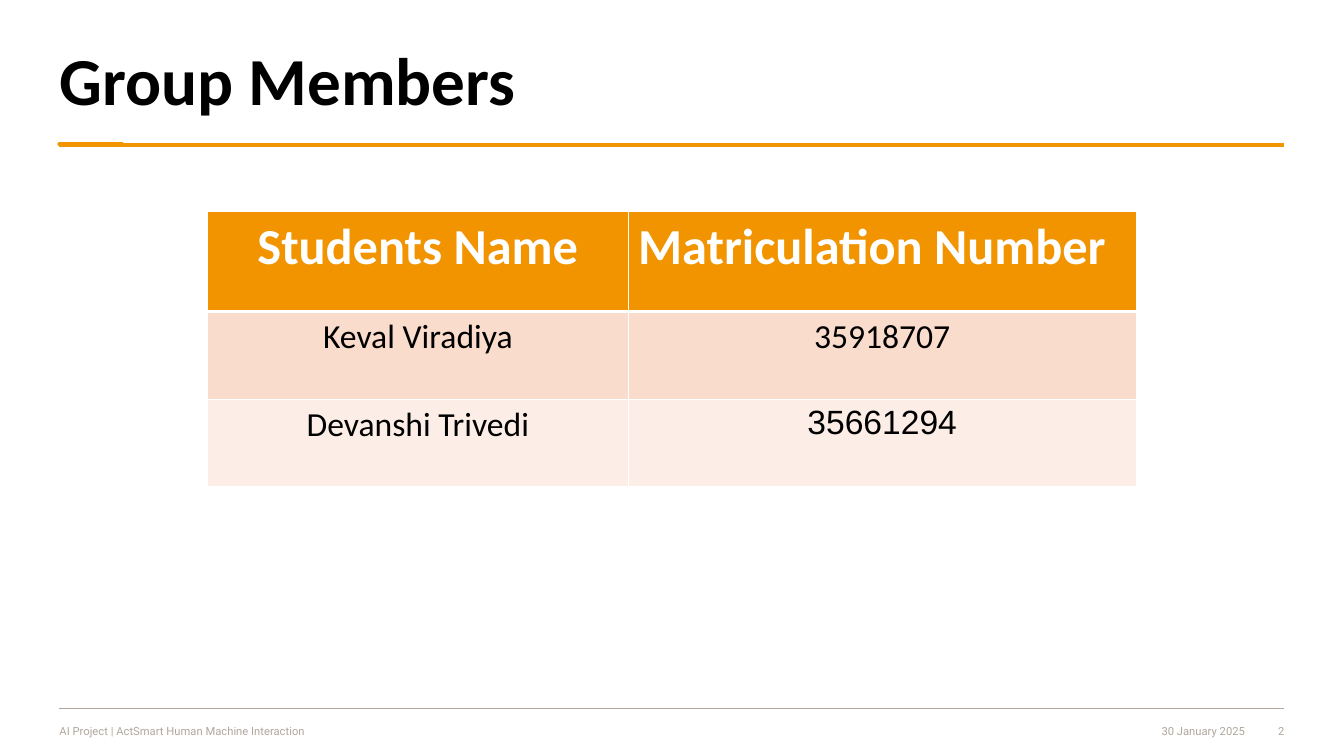
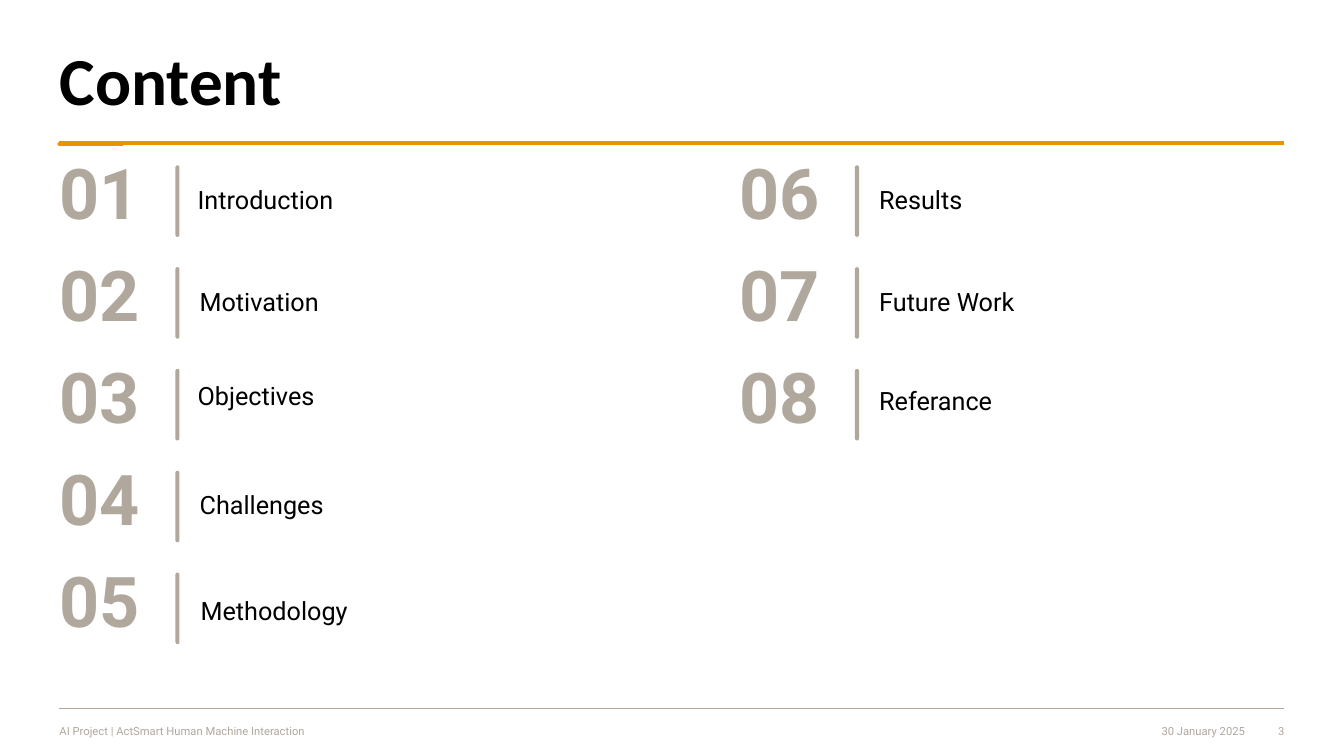
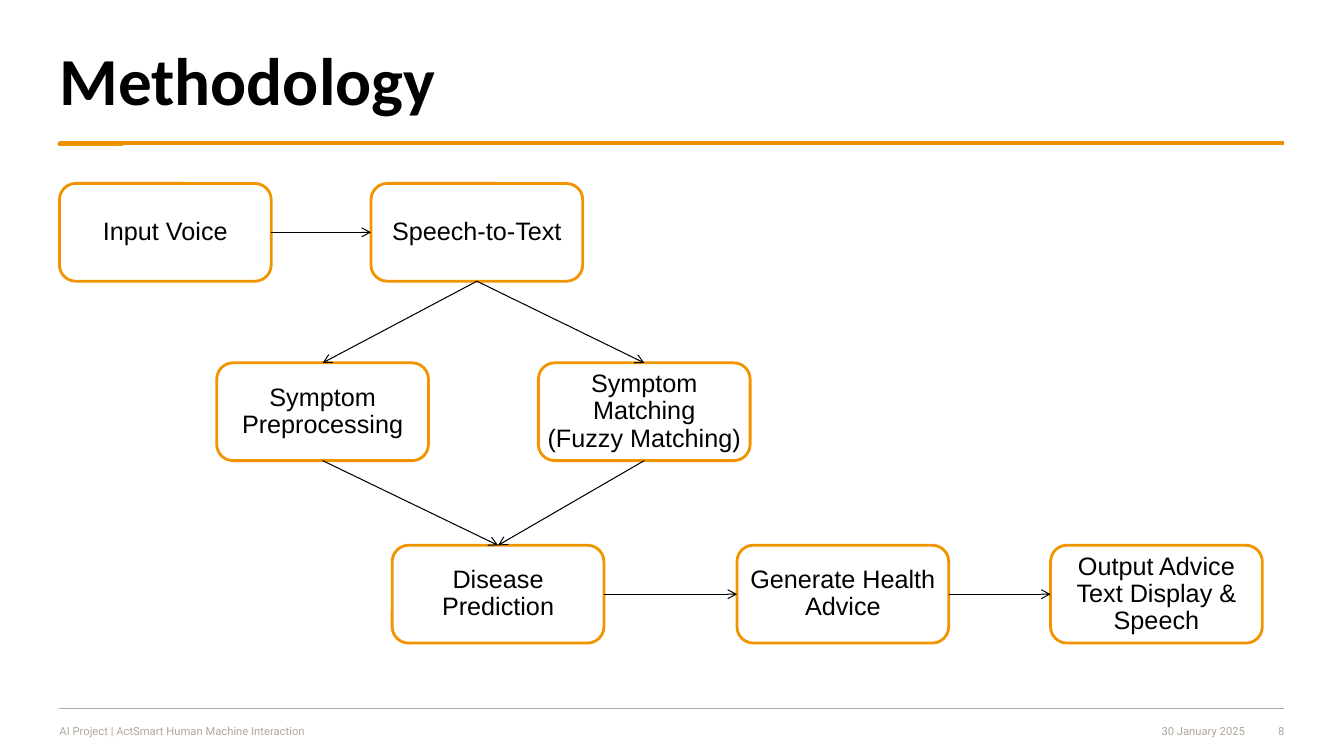
from lxml import etree
from pptx import Presentation
from pptx import util as u
from pptx.dml.color import RGBColor
from pptx.enum import shapes, text
from pptx.oxml.ns import qn

# Shared style
ORANGE, DEEP_ORANGE, GREY = "F19400", "EC9100", "B0A79D"
BLACK, WHITE = "000000", "FFFFFF"
PEACH, PALE_PEACH = "FADCCC", "FCEEE7"
LEFT, RIGHT = 0.59, 12.74
CENTER, ALIGN_RIGHT = text.PP_ALIGN.CENTER, text.PP_ALIGN.RIGHT
TOP, MIDDLE = text.MSO_ANCHOR.TOP, text.MSO_ANCHOR.MIDDLE


def color(hex_code):
    return RGBColor.from_string(hex_code)


def box(*lengths):
    return [u.Inches(length) for length in lengths]


# Element kinds
def write(frame, words, size, font, ink, bold=False, align=None, spacing=None):
    frame.text = words
    paragraph = frame.paragraphs[0]
    paragraph.alignment = align
    paragraph.line_spacing = spacing
    for run in paragraph.runs:
        run.font.size = u.Pt(size)
        run.font.name = font
        run.font.bold = bold
        run.font.color.rgb = color(ink)


def set_frame(frame, insets, anchor):
    frame.word_wrap = True
    frame.vertical_anchor = anchor
    (frame.margin_left, frame.margin_top,
     frame.margin_right, frame.margin_bottom) = box(*insets)


def add_text(slide, place, words, size, font, ink, anchor=MIDDLE, bottom=0, **style):
    frame = slide.shapes.add_textbox(*box(*place)).text_frame
    set_frame(frame, (0, 0, 0, bottom), anchor)
    write(frame, words, size, font, ink, **style)


def add_line(slide, start, end, ink, width):
    line = slide.shapes.add_connector(shapes.MSO_CONNECTOR.STRAIGHT, *box(*start, *end))
    line.line.color.rgb = color(ink)
    line.line.width = u.Pt(width)
    etree.SubElement(line._element.spPr, qn("a:effectLst"))
    return line


def add_round_rect(slide, place, fill):
    shape = slide.shapes.add_shape(shapes.MSO_SHAPE.ROUNDED_RECTANGLE, *box(*place))
    shape.shadow.inherit = False
    shape.fill.solid()
    shape.fill.fore_color.rgb = color(fill)
    return shape


def add_arrow(slide, source, source_site, target, target_site):
    arrow = add_line(slide, (0, 0), (1, 1), BLACK, 0.75)
    arrow.begin_connect(source, source_site)
    arrow.end_connect(target, target_site)
    outline = arrow._element.spPr.find(qn("a:ln"))
    etree.SubElement(outline, qn("a:tailEnd"), type="arrow")


def set_borders(cell, top=1, bottom=1):
    properties = cell._tc.get_or_add_tcPr()
    for side, width in (("L", 1), ("R", 1), ("T", top), ("B", bottom)):
        border = etree.SubElement(properties, qn(f"a:ln{side}"), w=str(u.Pt(width)))
        fill = etree.SubElement(border, qn("a:solidFill"))
        etree.SubElement(fill, qn("a:srgbClr"), val=WHITE)


# Title, rules and footer of every slide
def add_page(deck, title, number, rule_y=1.42, rule_ink=DEEP_ORANGE):
    slide = deck.slides.add_slide(deck.slide_layouts[6])
    accent = add_line(slide, (LEFT, 1.43), (1.21, 1.43), ORANGE, 3)
    accent._element.spPr.find(qn("a:ln")).set("cap", "rnd")
    add_line(slide, (LEFT, 7.03), (RIGHT, 7.03), GREY, 1)
    add_text(slide, (LEFT, 0.47, 5.22, 0.86), title, 48, "Calibri", BLACK,
             anchor=TOP, bold=True, spacing=0.9)
    for left, width, words, align in (
            (10.42, 1.93, "30 January 2025", ALIGN_RIGHT),
            (LEFT, 8.27, "AI Project | ActSmart Human Machine Interaction", None),
            (12.4, 0.34, number, ALIGN_RIGHT)):
        add_text(slide, (left, 7.1, width, 0.31), words, 8, "Roboto", GREY, align=align)
    add_line(slide, (LEFT, rule_y), (RIGHT, rule_y), rule_ink, 3)
    return slide


def members_slide(deck):
    slide = add_page(deck, "Group Members", "2", 1.44, ORANGE)
    rows = (("Students Name", "Matriculation Number"),
            ("Keval Viradiya", "35918707"),
            ("Devanshi Trivedi", "35661294"))
    fills = (ORANGE, PEACH, PALE_PEACH)
    members = slide.shapes.add_table(3, 2, *box(2.06, 2.1, 9.21, 2.73)).table
    for column, width in zip(members.columns, (4.17, 5.04)):
        column.width = u.Inches(width)
    for row, height in zip(members.rows, (0.99, 0.87, 0.87)):
        row.height = u.Inches(height)
    for r, row in enumerate(rows):
        header = r == 0
        for c, words in enumerate(row):
            cell = members.cell(r, c)
            set_borders(cell, top=3 if r == 1 else 1, bottom=3 if header else 1)
            cell.fill.solid()
            cell.fill.fore_color.rgb = color(fills[r])
            write(cell.text_frame, words, 36 if header else 24,
                  "Arial" if (r, c) == (2, 1) else "Calibri",
                  WHITE if header else BLACK, bold=header,
                  align=None if header and c == 1 else CENTER)


def content_slide(deck):
    slide = add_page(deck, "Content", "3")
    # Each entry: topic, left edge and vertical shift of its label
    columns = ((LEFT, (("Introduction", 1.96, 0), ("Motivation", 1.98, 0),
                       ("Objectives", 1.96, -0.07), ("Challenges", 1.98, 0),
                       ("Methodology", 1.99, 0.04))),
               (7.33, (("Results", 8.72, 0), ("Future Work", 8.72, 0),
                       ("Referance", 8.72, -0.02))))
    number = 0
    for left, entries in columns:
        for row, (topic, label_left, shift) in enumerate(entries):
            number += 1
            top = 1.6 + 1.01 * row
            add_text(slide, (left, top, 1.16, 0.79), f"{number:02}", 50, "Roboto", GREY,
                     bottom=0.08, bold=True, spacing=0.9)
            divider = add_round_rect(slide, (left + 1.15, top + 0.04, 0.04, 0.71), GREY)
            divider.adjustments[0] = 0.5
            divider.line.fill.background()
            add_text(slide, (label_left, top + shift, 4.02, 0.79), topic, 18, "Roboto",
                     BLACK, spacing=0.9)


def methodology_slide(deck):
    slide = add_page(deck, "Methodology", "8")

    def add_step(left, top, words):
        step = add_round_rect(slide, (left, top, 2.1, 0.97), WHITE)
        step.line.color.rgb = color(ORANGE)
        step.line.width = u.Pt(2)
        set_frame(step.text_frame, [0.04] * 4, MIDDLE)
        write(step.text_frame, words, 18, "Arial", BLACK, align=CENTER, spacing=0.9)
        return step

    # Steps in three rows
    first, second, third = 1.82, 3.6, 5.41
    voice = add_step(LEFT, first, "Input Voice")
    speech = add_step(3.68, first, "Speech-to-Text")
    preprocessing = add_step(2.15, second, "Symptom Preprocessing")
    matching = add_step(5.34, second, "Symptom Matching\v(Fuzzy Matching)")
    prediction = add_step(3.89, third, "Disease Prediction")
    advice = add_step(7.31, third, "Generate Health Advice")
    output = add_step(10.42, third, "Output Advice Text Display & Speech")

    # Arrows between connection sites
    top, left, bottom, right = range(4)
    for source, target in ((voice, speech), (prediction, advice), (advice, output)):
        add_arrow(slide, source, right, target, left)
    for source, target in ((speech, preprocessing), (speech, matching),
                           (preprocessing, prediction), (matching, prediction)):
        add_arrow(slide, source, bottom, target, top)


def main():
    deck = Presentation()
    deck.slide_width, deck.slide_height = box(13.33, 7.5)
    members_slide(deck)
    content_slide(deck)
    methodology_slide(deck)
    deck.save("out.pptx")


if __name__ == "__main__":
    main()
